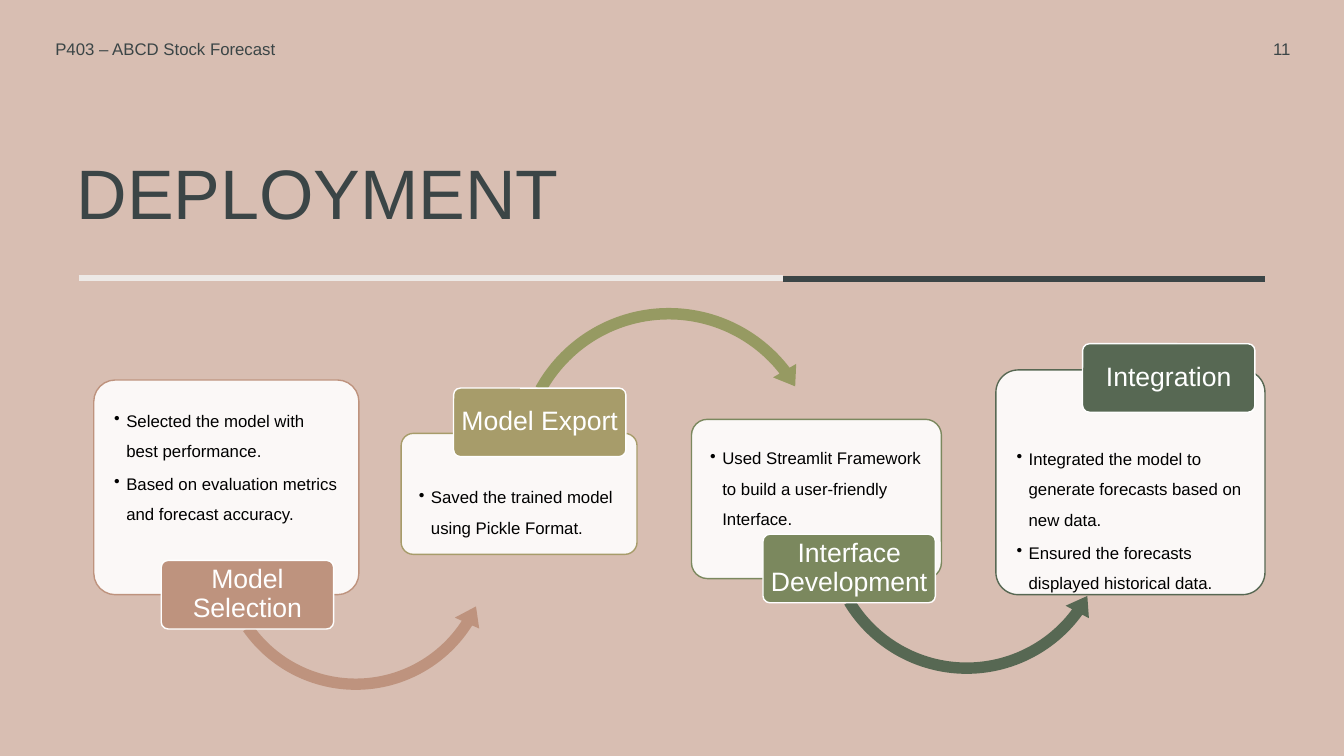
import pptx
import pptx.util
import pptx.dml.color
import pptx.enum.shapes
import pptx.enum.text
import pptx.oxml.ns
from lxml import etree

Pt, Inches = pptx.util.Pt, pptx.util.Inches
FORM = pptx.enum.shapes.MSO_SHAPE
ALIGN = pptx.enum.text.PP_ALIGN
ANCHOR = pptx.enum.text.MSO_ANCHOR
qn = pptx.oxml.ns.qn

# The slide is a grid of 40 columns by 22.5 rows
WIDE, HIGH = Inches(13.33), Inches(7.5)
COLS, ROWS = 40, 22.5
TAB = (5.13, 2.04)

HUES = {
    "back": "D8BEB2", "ink": "3B4546", "pale": "EDE9E6",
    "white": "FFFFFF", "black": "000000",
    "clay": "BE937E", "sand": "A79C6A", "olive": "969A62",
    "moss": "7B885E", "pine": "576853",
}

# Card box, tab corner, colour, tab label, bullets, tab covers the top
CARDS = [
    ((2.79, 11.31, 7.89, 6.39), (4.8, 16.68), "clay", "Model Selection",
     ["Selected the model with best performance.",
      "Based on evaluation metrics and forecast accuracy."], False),
    ((11.94, 12.9, 7.02, 3.6), (13.5, 11.55), "sand", "Model Export",
     ["Saved the trained model using Pickle Format."], True),
    ((20.58, 12.48, 7.44, 4.74), (22.71, 15.9), "moss", "Interface Development",
     ["Used Streamlit Framework to build a user-friendly Interface."], False),
    ((29.64, 11.01, 8.01, 6.69), (32.22, 10.23), "pine", "Integration",
     ["Integrated the model to generate forecasts based on new data.",
      "Ensured the forecasts displayed historical data."], True),
]

# Shape, left, top, size, colour, band and head in percent, three angles
ARROWS = [
    (FORM.LEFT_CIRCULAR_ARROW, 6.27, 12.12, 8.64, "clay", 3.9, 4.6, (8.24, 32.45, 145.04)),
    (FORM.CIRCULAR_ARROW, 15.15, 8.94, 9.51, "olive", 3.6, 4.2, (7.42, 322.32, 208.92)),
    (FORM.LEFT_CIRCULAR_ARROW, 24.3, 11.34, 8.94, "pine", 3.8, 4.4, (7.92, 36.15, 149.04)),
]


def col(n):
    return round(WIDE * n / COLS)


def row(n):
    return round(HIGH * n / ROWS)


def area(x, y, w, h):
    return col(x), row(y), col(w), row(h)


def hue(name):
    return pptx.dml.color.RGBColor.from_string(HUES[name])


def apply(thing, vals):
    for key, val in vals.items():
        setattr(thing, key, val)


def write(shape, lines, size, tint, frame, para):
    """Fill a shape's text frame, one paragraph per line."""
    text = shape.text_frame
    apply(text, {"word_wrap": True, **frame})
    for i, line in enumerate(lines):
        part = text.add_paragraph() if i else text.paragraphs[0]
        apply(part, para)
        run = part.add_run()
        run.text = line
        apply(run.font, {"size": Pt(size), "name": "Arial"})
        run.font.color.rgb = hue(tint)


def label(slide, box, line, size, frame, para):
    write(slide.shapes.add_textbox(*area(*box)), [line], size, "ink", frame, para)


def rule(slide, start, end, y, tint):
    line = slide.shapes.add_connector(
        pptx.enum.shapes.MSO_CONNECTOR.STRAIGHT, col(start), row(y), col(end), row(y))
    line.line.width = Pt(4.5)
    line.line.color.rgb = hue(tint)
    etree.SubElement(line._element.spPr, qn("a:effectLst"))


def block(slide, form, box, fill, edge=None):
    shape = slide.shapes.add_shape(form, *area(*box))
    shape.shadow.inherit = False
    shape.fill.solid()
    shape.fill.fore_color.rgb = hue(fill)
    if edge:
        shape.line.width = Pt(1)
        shape.line.color.rgb = hue(edge)
    else:
        shape.line.fill.background()
    return shape


def plate(slide, box, fill, edge):
    shape = block(slide, FORM.ROUNDED_RECTANGLE, box, fill, edge)
    shape.adjustments[0] = 0.1
    return shape


def bullet(shape):
    for part in shape.text_frame.paragraphs:
        props = part._p.get_or_add_pPr()
        props.set("marL", str(Inches(0.12)))
        props.set("indent", str(-Inches(0.12)))
        etree.SubElement(props, qn("a:buChar")).set("char", "•")


def card(slide, box, tint, lines, under):
    shape = plate(slide, box, "white", tint)
    fill = shape._element.spPr.find(qn("a:solidFill"))
    etree.SubElement(fill[0], qn("a:alpha")).set("val", "90000")
    # Text starts lower when the tab covers the top edge
    drop = row(box[3] * 3 / 14) if under else 0
    write(shape, lines, 12, "black",
          {"vertical_anchor": ANCHOR.TOP, "margin_left": Inches(0.14),
           "margin_right": Inches(0.12), "margin_bottom": 0,
           "margin_top": Inches(0.14) + drop},
          {"alignment": ALIGN.LEFT, "line_spacing": 1.5, "space_after": Pt(2)})
    bullet(shape)


def tab(slide, spot, tint, name):
    shape = plate(slide, (*spot, *TAB), tint, "white")
    write(shape, [name], 19, "white",
          {"vertical_anchor": ANCHOR.MIDDLE, "margin_left": Inches(0.05),
           "margin_right": Inches(0.05), "margin_top": Inches(0.04),
           "margin_bottom": Inches(0.04)},
          {"alignment": ALIGN.CENTER, "line_spacing": 0.9})


def arrow(slide, form, x, y, size, tint, band, head, turns):
    shape = block(slide, form, (x, y, size, size), tint)
    # One degree is 0.6 adjustment units
    vals = [band / 100, *(turn * 0.6 for turn in turns), head / 100]
    for i, val in enumerate(vals):
        shape.adjustments[i] = val


def main():
    deck = pptx.Presentation()
    apply(deck, {"slide_width": WIDE, "slide_height": HIGH})
    slide = deck.slides.add_slide(deck.slide_layouts[6])
    slide.background.fill.solid()
    slide.background.fill.fore_color.rgb = hue("back")

    # Header, title and rule
    mid = {"vertical_anchor": ANCHOR.MIDDLE}
    label(slide, (1.35, 0.99, 8.1, 0.9), "P403 – ABCD Stock Forecast", 12, mid, {})
    label(slide, (33.21, 0.99, 5.49, 0.9), "11", 12, mid, {"alignment": ALIGN.RIGHT})
    label(slide, (1.98, 4.8, 35.67, 2.31), "DEPLOYMENT", 50,
          {"vertical_anchor": ANCHOR.TOP}, {"line_spacing": 0.8})
    rule(slide, 2.34, 23.31, 8.28, "pale")
    rule(slide, 23.31, 37.65, 8.31, "ink")

    # Steps, each but the last followed by an arrow
    for i, (box, spot, tint, name, lines, under) in enumerate(CARDS):
        card(slide, box, tint, lines, under)
        if i < len(ARROWS):
            arrow(slide, *ARROWS[i])
        tab(slide, spot, tint, name)

    deck.save("out.pptx")


if __name__ == "__main__":
    main()
